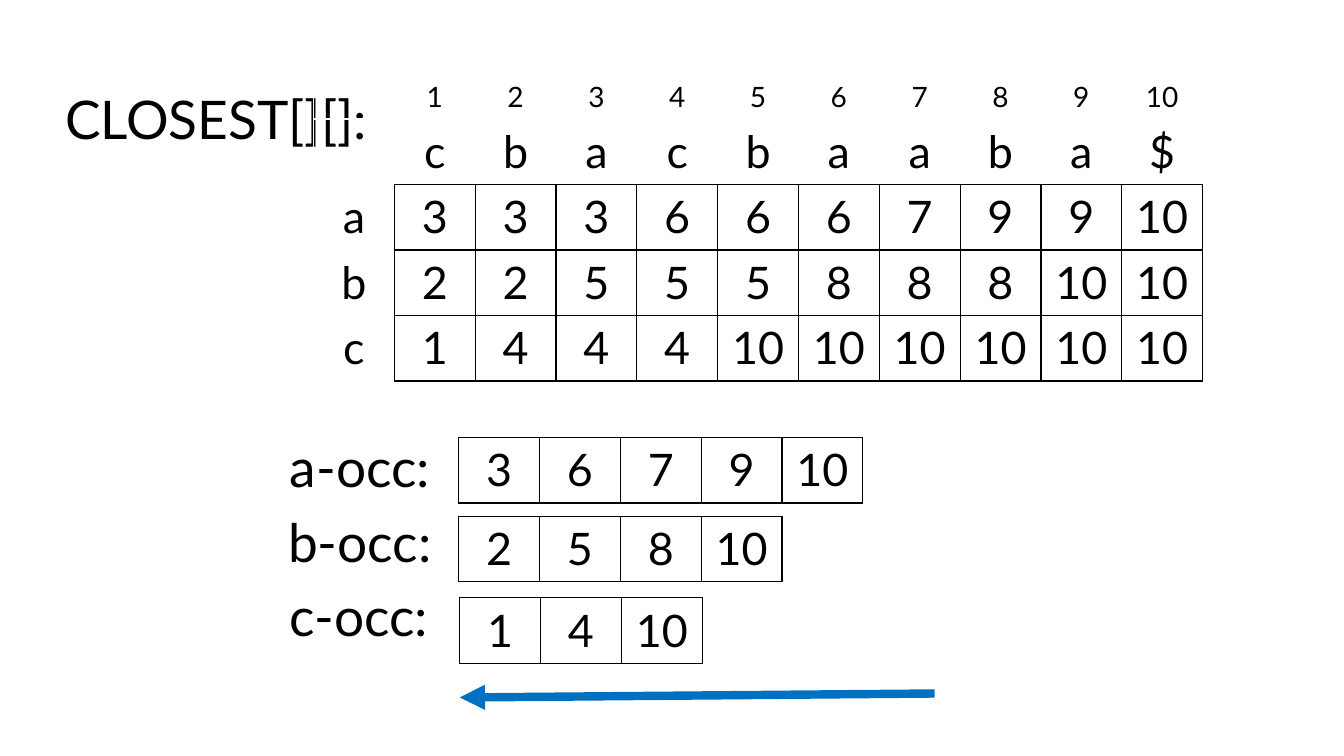
"""Build a slide showing the CLOSEST table and the occurrence lists."""
from dataclasses import dataclass

import pptx
import pptx.dml.color
import pptx.enum.shapes
import pptx.enum.text
import pptx.oxml
import pptx.oxml.ns
import pptx.util
from pptx.util import Inches


@dataclass(frozen=True)
class Theme:
    """Colours, font and type sizes of the slide."""
    ink: str = "000000"
    paper: str = "FFFFFF"
    accent: str = "0070C0"
    font: str = "Lato"
    label_size: int = 38
    cell_size: int = 32
    index_size: int = 20
    border_width: int = 1
    arrow_width: int = 6


THEME = Theme()
CELL_WIDTH = Inches(8.82) // 11
ROW_HEIGHT = Inches(0.65)
LABEL_HEIGHT = Inches(0.74)
SIDES = {"lnL": (0, -1), "lnR": (0, 1), "lnT": (-1, 0), "lnB": (1, 0)}

INDEXED_TEXT = "cbacbaaba$"
CLOSEST = {
    "a": [3, 3, 3, 6, 6, 6, 7, 9, 9, 10],
    "b": [2, 2, 5, 5, 5, 8, 8, 8, 10, 10],
    "c": [1, 4, 4, 4, 10, 10, 10, 10, 10, 10],
}
OCCURRENCES = [
    ("a-occ:", 2.75, 4.26, 1.64, 4.55, 4.34, [3, 6, 7, 9, 10]),
    ("b-occ:", 2.74, 5, 1.66, 4.55, 5.12, [2, 5, 8, 10]),
    ("c-occ:", 2.76, 5.74, 1.6, 4.56, 5.93, [1, 4, 10]),
]


def style_text(frame, size):
    """Centre the text of a frame and give it the theme's font."""
    for para in frame.paragraphs:
        para.alignment = pptx.enum.text.PP_ALIGN.CENTER
        for span in para.runs:
            span.font.name = THEME.font
            span.font.size = pptx.util.Pt(size)
            span.font.color.rgb = pptx.dml.color.RGBColor.from_string(THEME.ink)


def fill_label(shape, text):
    """Write a large one-line label into a text box or placeholder."""
    frame = shape.text_frame
    frame.text = text
    frame.word_wrap = False
    frame.auto_size = pptx.enum.text.MSO_AUTO_SIZE.SHAPE_TO_FIT_TEXT
    frame.vertical_anchor = pptx.enum.text.MSO_ANCHOR.TOP
    style_text(frame, THEME.label_size)


def add_title(page, text, left, top, width):
    """Move the title placeholder into place and write its label."""
    title = page.shapes.title
    title.left, title.top = Inches(left), Inches(top)
    title.width, title.height = Inches(width), LABEL_HEIGHT
    fill_label(title, text)


def add_label(page, text, left, top, width):
    """Add a large label in a text box."""
    box = page.shapes.add_textbox(Inches(left), Inches(top), Inches(width), LABEL_HEIGHT)
    fill_label(box, text)


def add_border(cell, side, color):
    """Draw one border of a cell."""
    width = pptx.util.Pt(THEME.border_width)
    cell._tc.get_or_add_tcPr().append(pptx.oxml.parse_xml(
        f'<a:{side} {pptx.oxml.ns.nsdecls("a")} w="{width}"><a:solidFill>'
        f'<a:srgbClr val="{color}"/></a:solidFill></a:{side}>'))


def add_grid(page, rows, left, top, header_rows=0, header_columns=0):
    """Add a table whose headers have no visible outer borders."""
    column_count = len(rows[0])
    frame = page.shapes.add_table(
        len(rows), column_count, Inches(left), Inches(top),
        CELL_WIDTH * column_count, ROW_HEIGHT * len(rows))
    table = frame.table
    table.first_row = table.horz_banding = False

    def is_value(row, column):
        """Tell whether a position lies beyond the headers."""
        return row >= header_rows and column >= header_columns

    for row, values in enumerate(rows):
        for column, value in enumerate(values):
            cell = table.cell(row, column)
            for side, (down, across) in SIDES.items():
                ruled = is_value(row, column) or is_value(row + down, column + across)
                add_border(cell, side, THEME.ink if ruled else THEME.paper)
            cell.fill.background()
            cell.text_frame.text = str(value)
            style_text(cell.text_frame, THEME.cell_size)
    return table


def add_closest_table(page):
    """Add the CLOSEST table below its index and letter headers."""
    rows = [["", *range(1, len(INDEXED_TEXT) + 1)], ["", *INDEXED_TEXT]]
    rows += [[letter, *values] for letter, values in CLOSEST.items()]
    table = add_grid(page, rows, 3.11, 0.53, header_rows=2, header_columns=1)
    for cell in table.rows[0].cells:
        cell.vertical_anchor = pptx.enum.text.MSO_ANCHOR.BOTTOM
        style_text(cell.text_frame, THEME.index_size)


def add_arrow(page, start, end):
    """Add a thick arrow from start to end."""
    arrow = page.shapes.add_connector(
        pptx.enum.shapes.MSO_CONNECTOR.STRAIGHT,
        *(Inches(length) for length in (*start, *end)))
    arrow.line.width = pptx.util.Pt(THEME.arrow_width)
    arrow.line.color.rgb = pptx.dml.color.RGBColor.from_string(THEME.accent)
    namespace = pptx.oxml.ns.nsdecls("a")
    arrow.line._get_or_add_ln().append(
        pptx.oxml.parse_xml(f'<a:tailEnd {namespace} type="triangle"/>'))
    arrow._element.spPr.append(pptx.oxml.parse_xml(f"<a:effectLst {namespace}/>"))


def main():
    """Build and save the slide."""
    deck = pptx.Presentation()
    deck.slide_width, deck.slide_height = Inches(13.33), Inches(7.5)
    page = deck.slides.add_slide(deck.slide_layouts.get_by_name("Title Only"))
    add_closest_table(page)
    add_title(page, "CLOSEST[][]:", 0.46, 0.81, 3.37)
    for text, left, top, width, grid_left, grid_top, values in OCCURRENCES:
        add_label(page, text, left, top, width)
        add_grid(page, [values], grid_left, grid_top)
    add_arrow(page, (9.27, 6.88), (4.56, 6.92))
    deck.save("out.pptx")


if __name__ == "__main__":
    main()
